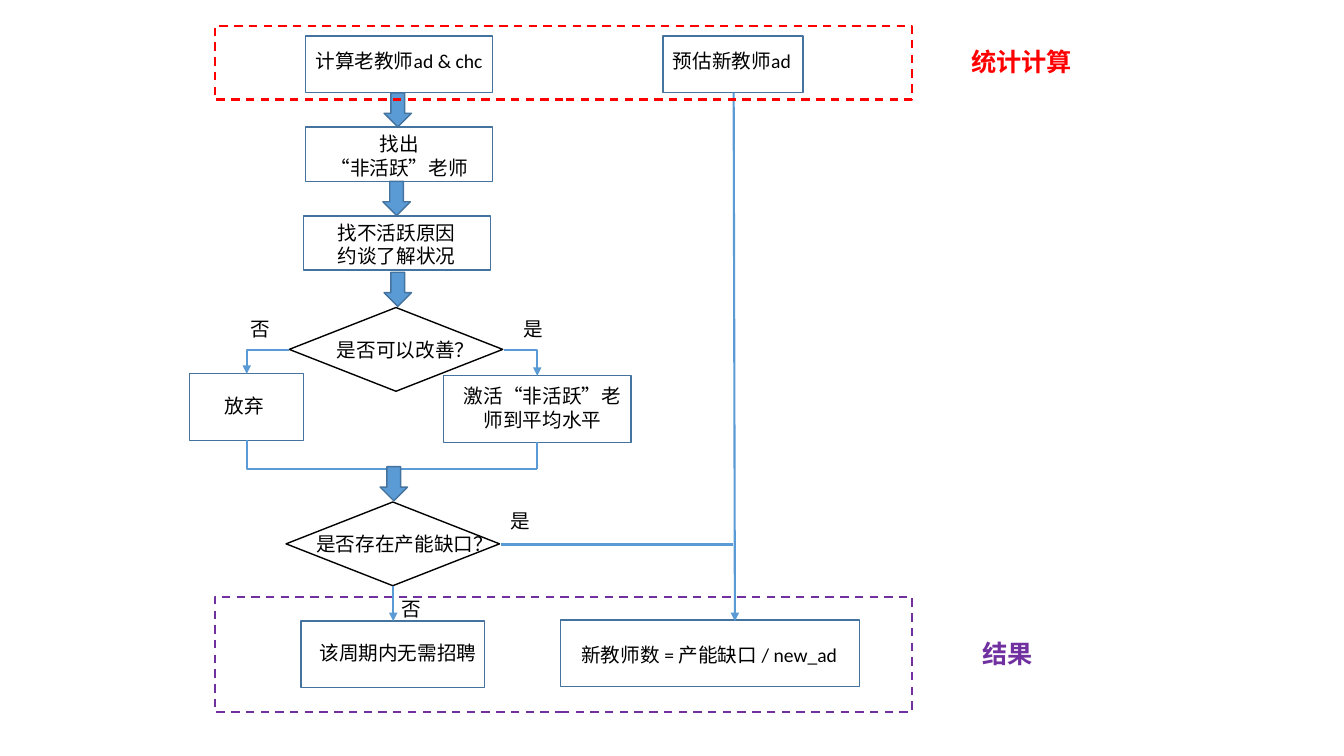
from dataclasses import dataclass
from lxml.etree import SubElement
from pptx import Presentation
from pptx.dml.color import RGBColor
from pptx.enum.dml import MSO_LINE
from pptx.enum.shapes import MSO_CONNECTOR, MSO_SHAPE
from pptx.enum.text import MSO_AUTO_SIZE, PP_ALIGN
from pptx.oxml.ns import qn
from pptx.util import Cm, Pt


@dataclass(frozen=True)
class Theme:
    font: str = "Calibri"
    ink: str = "000000"
    blue: str = "5B9BD5"
    edge: str = "43739E"
    red: str = "FF0000"
    plum: str = "7030A0"
    body: int = 14
    head: int = 18
    thin: float = 1
    thick: float = 1.5


def write(frame, text, font, size, color, bold=False, align=PP_ALIGN.LEFT):
    for num, line in enumerate(text.split("\n")):
        para = frame.add_paragraph() if num else frame.paragraphs[0]
        para.alignment = align
        run = para.add_run()
        run.text = line
        run.font.name = font
        run.font.size = Pt(size)
        run.font.bold = bold
        run.font.color.rgb = RGBColor.from_string(color)


class Chart:
    """Draw flow chart parts on one slide in one style."""

    def __init__(self, slide, theme):
        self.shapes = slide.shapes
        self.theme = theme

    def stroke(self, line, color, width):
        line.color.rgb = RGBColor.from_string(color)
        line.width = Pt(width)

    def shape(self, kind, at, color, width=None, fill=None):
        item = self.shapes.add_shape(kind, *map(Cm, at))
        item.shadow.inherit = False
        if fill:
            item.fill.solid()
            item.fill.fore_color.rgb = RGBColor.from_string(fill)
        else:
            item.fill.background()
        self.stroke(item.line, color, width or self.theme.thin)
        return item

    def box(self, *at):
        self.shape(MSO_SHAPE.RECTANGLE, at, self.theme.edge)

    def choice(self, left, top):
        at = left, top, 5.38, 2.11
        self.shape(MSO_SHAPE.FLOWCHART_DECISION, at, self.theme.ink)

    def arrow(self, left, top):
        at = left, top, 0.69, 0.86
        self.shape(MSO_SHAPE.DOWN_ARROW, at, self.theme.edge, fill=self.theme.blue)

    def zone(self, at, color):
        item = self.shape(MSO_SHAPE.RECTANGLE, at, color, self.theme.thick)
        item.line.dash_style = MSO_LINE.DASH

    def link(self, *ends, bent=False, tip=False):
        kind = MSO_CONNECTOR.ELBOW if bent else MSO_CONNECTOR.STRAIGHT
        item = self.shapes.add_connector(kind, *map(Cm, ends))
        self.stroke(item.line, self.theme.blue, self.theme.thick)
        props = item._element.spPr
        if bent:
            props.find(qn("a:prstGeom")).set("prst", "bentConnector2")
        if tip:
            SubElement(props.find(qn("a:ln")), qn("a:tailEnd"), type="triangle")
        SubElement(props, qn("a:effectLst"))

    def text(self, text, at, wrap=True, **style):
        frame = self.shapes.add_textbox(*map(Cm, at)).text_frame
        frame.word_wrap = wrap
        frame.auto_size = MSO_AUTO_SIZE.SHAPE_TO_FIT_TEXT
        base = dict(font=self.theme.font, size=self.theme.body, color=self.theme.ink)
        write(frame, text, **(base | style))


deck = Presentation()
deck.slide_width, deck.slide_height = Cm(33.87), Cm(19.05)
theme = Theme()
chart = Chart(deck.slides.add_slide(deck.slide_layouts[6]), theme)
mid = PP_ALIGN.CENTER

for at in [
    (7.7, 0.91, 4.72, 1.42),
    (7.7, 3.2, 4.72, 1.37),
    (7.65, 5.44, 4.72, 1.37),
    (11.18, 9.47, 4.72, 1.68),
    (4.78, 9.42, 2.87, 1.68),
    (16.71, 0.91, 3.53, 1.42),
    (7.59, 15.65, 4.62, 1.68),
    (14.12, 15.62, 7.54, 1.68),
]:
    chart.box(*at)

for spot in [(7.29, 7.75), (7.21, 12.65)]:
    chart.choice(*spot)

chart.link(12.7, 8.81, 13.54, 9.47, bent=True, tip=True)
chart.link(7.29, 8.81, 6.22, 9.42, bent=True, tip=True)
chart.link(13.54, 11.81, 6.22, 11.1, bent=True)
chart.link(13.54, 11.15, 13.54, 11.81)
chart.link(9.91, 14.76, 9.91, 15.65, tip=True)
chart.link(18.49, 2.34, 18.52, 15.65, tip=True)
chart.link(12.62, 13.72, 18.47, 13.72)

for spot in [(9.68, 2.34), (9.65, 4.57), (9.68, 6.86), (9.58, 11.76)]:
    chart.arrow(*spot)

for words, at, align in [
    ("计算老教师ad & chc", (7.7, 1.12, 4.72, 0.86), PP_ALIGN.LEFT),
    ("找出\n“非活跃”老师", (7.7, 3.2, 4.72, 1.45), mid),
    ("找不活跃原因\n约谈了解状况", (7.9, 5.44, 4.19, 1.45), mid),
    ("是否可以改善？", (8.13, 8.38, 4.19, 0.86), mid),
    ("激活“非活跃”老师到平均水平", (11.25, 9.55, 4.85, 1.45), mid),
    ("预估新教师ad", (16.71, 1.12, 3.53, 0.86), PP_ALIGN.LEFT),
    ("该周期内无需招聘", (7.8, 16.03, 5.08, 0.86), PP_ALIGN.LEFT),
    ("新教师数 = 产能缺口 / new_ad", (14.4, 16.08, 7.52, 0.86), PP_ALIGN.LEFT),
]:
    chart.text(words, at, align=align)

for words, left, top, width in [
    ("是", 12.93, 7.87, 1.02),
    ("否", 6.05, 7.87, 1.02),
    ("放弃", 5.41, 9.8, 1.5),
    ("是否存在产能缺口？", 7.7, 13.28, 5),
    ("否", 9.86, 14.91, 1.02),
    ("是", 12.6, 12.7, 1.02),
]:
    chart.text(words, (left, top, width, 0.86), wrap=False, align=mid)

for words, color, spot, zone in [
    ("结果", theme.plum, (24.51, 15.95, 1.8, 1.02), (5.41, 15.04, 17.58, 2.9)),
    ("统计计算", theme.red, (24.23, 1.04, 3.1, 1.02), (5.41, 0.66, 17.58, 1.85)),
]:
    chart.zone(zone, color)
    chart.text(words, spot, wrap=False, size=theme.head, color=color, bold=True)

deck.save("out.pptx")
